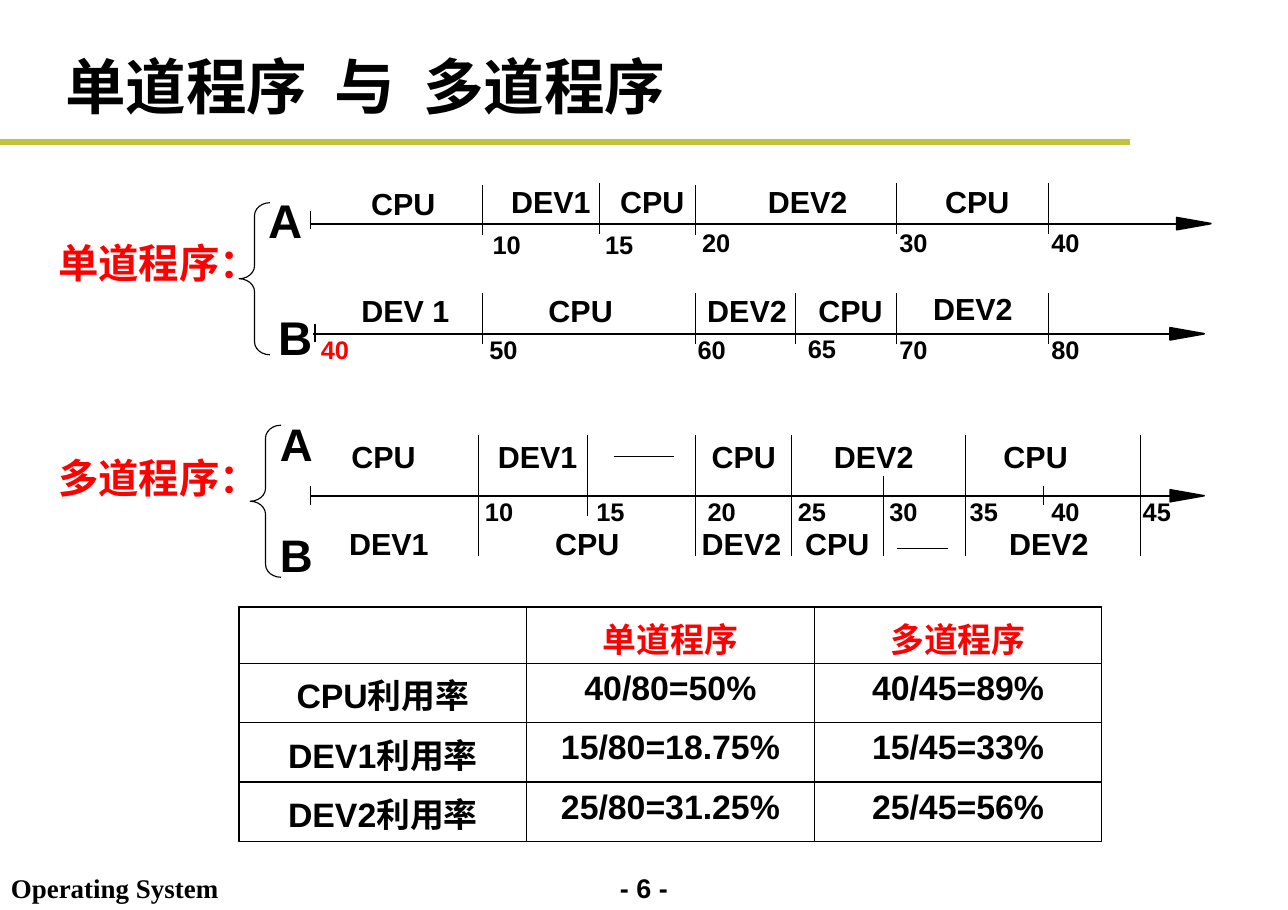
from dataclasses import dataclass

from lxml.etree import SubElement
from pptx import Presentation
from pptx.dml.color import RGBColor
from pptx.enum.shapes import MSO_CONNECTOR as CONN, MSO_SHAPE as SHAPE
from pptx.enum.text import MSO_ANCHOR as ANCHOR, MSO_AUTO_SIZE as AUTO, PP_ALIGN as ALIGN
from pptx.oxml.ns import qn
from pptx.util import Inches, Pt

COLORS = {"black": "000000", "red": "FF0000", "olive": "C1C43C"}
JOB, TIME, NAME = (19.9, 0.88, 0.33), (16.6, 0.3, 0.28), (30.9, 0.36, 0.52)  # size, width, height
SMALL_NAME = (29.8, 0.36, 0.5)


@dataclass
class Row:
    """Labels on one height, each with its centre."""
    top: float
    style: tuple[float, float, float]
    labels: list[tuple[str, float]]
    color: str = "black"


@dataclass
class Ticks:
    """Upright lines of one extent."""
    top: float
    bottom: float
    xs: list[float]
    weight: float = 0.75


@dataclass
class Timeline:
    start: float
    head: float  # left end of the arrowhead
    y: float
    weight: float
    ticks: list[Ticks]
    rows: list[Row]


@dataclass
class Group:
    heading: str
    heading_top: float
    brace_left: float
    brace_top: float


GROUPS = [Group("单道程序：", 2.11, 2.17, 1.84), Group("多道程序：", 4.06, 2.27, 3.86)]

TIMELINES = [
    Timeline(2.81, 10.68, 2.03, 1.13,
             [Ticks(1.92, 2.08, [2.82], 1), Ticks(1.68, 2.13, [4.38, 6.31]),
              Ticks(1.66, 2.12, [5.44, 8.14, 9.52])],
             [Row(1.74, NAME, [("A", 2.59)]),
              Row(1.68, JOB, [("CPU", 3.66)]),
              Row(1.66, JOB, [("DEV1", 5.0), ("CPU", 5.92), ("DEV2", 7.33), ("CPU", 8.87)]),
              Row(2.08, TIME, [("10", 4.6), ("15", 5.62)]),
              Row(2.06, TIME, [("20", 6.5), ("30", 8.29), ("40", 9.67)])]),
    Timeline(2.84, 10.62, 3.03, 1.13,
             [Ticks(2.94, 3.1, [2.86], 1),
              Ticks(2.66, 3.12, [4.38, 6.31, 7.22, 8.14, 9.52])],
             [Row(2.8, NAME, [("B", 2.68)]),
              Row(2.65, JOB, [("DEV 1", 3.68), ("CPU", 5.27), ("DEV2", 6.78), ("CPU", 7.72)]),
              Row(2.63, JOB, [("DEV2", 8.83)]),
              Row(3.03, TIME, [("40", 3.04)], "red"),
              Row(3.03, TIME, [("50", 4.57), ("60", 6.46), ("70", 8.29), ("80", 9.67)]),
              Row(3.02, TIME, [("65", 7.46)])]),
    Timeline(2.82, 10.62, 4.5, 1,
             [Ticks(4.41, 4.58, [2.82, 9.47, 10.35], 1),
              Ticks(3.95, 5.05, [4.34, 6.31, 7.18, 8.76, 10.35]),
              Ticks(3.95, 4.68, [5.33]), Ticks(4.32, 5.05, [8.02])],
             [Row(3.78, SMALL_NAME, [("A", 2.69)]), Row(4.78, SMALL_NAME, [("B", 2.69)]),
              Row(3.98, JOB, [("CPU", 3.48), ("DEV1", 4.88), ("CPU", 6.75),
                              ("DEV2", 7.93), ("CPU", 9.4)]),
              Row(4.5, TIME, [("10", 4.53), ("15", 5.54), ("20", 6.55), ("25", 7.37),
                              ("30", 8.2), ("35", 8.93), ("40", 9.67), ("45", 10.5)]),
              Row(4.77, JOB, [("DEV1", 3.53), ("CPU", 5.33), ("DEV2", 6.73),
                              ("CPU", 7.6), ("DEV2", 9.52)])]),
]

USAGE = [
    ["", "单道程序", "多道程序"],
    ["CPU利用率", "40/80=50%", "40/45=89%"],
    ["DEV1利用率", "15/80=18.75%", "15/45=33%"],
    ["DEV2利用率", "25/80=31.25%", "25/45=56%"],
]


def rgb(color: str) -> RGBColor:
    return RGBColor.from_string(COLORS[color])


def format_text(tf, size: float, color: str = "black", align=ALIGN.CENTER,
                font: str = "Arial") -> None:
    p = tf.paragraphs[0]
    p.alignment = align
    for r in p.runs:
        r.font.name, r.font.size, r.font.bold = font, Pt(size), True
        r.font.color.rgb = rgb(color)


def add_text(slide, text: str, left: float, top: float, width: float, height: float,
             size: float, color: str = "black", align=ALIGN.CENTER,
             font: str = "Arial", inset: bool = False) -> None:
    sp = slide.shapes.add_textbox(*map(Inches, (left, top, width, height)))
    tf = sp.text_frame
    tf.word_wrap = False
    if not inset:
        tf.margin_left = tf.margin_right = tf.margin_top = tf.margin_bottom = 0
    tf.text = text
    format_text(tf, size, color, align, font)


def add_line(slide, x1: float, y1: float, x2: float, y2: float,
             weight: float, color: str = "black") -> None:
    line = slide.shapes.add_connector(CONN.STRAIGHT, *map(Inches, (x1, y1, x2, y2)))
    line.line.color.rgb = rgb(color)
    line.line.width = Pt(weight)
    SubElement(line._element.spPr, qn("a:effectLst"))


def add_timeline(slide, t: Timeline) -> None:
    # Axis with its arrowhead
    add_line(slide, t.start, t.y, t.head + 0.2, t.y, t.weight)
    fb = slide.shapes.build_freeform(Inches(t.head), Inches(t.y - 0.055), 1.0)
    fb.add_line_segments([(Inches(t.head + 0.31), Inches(t.y)),
                          (Inches(t.head), Inches(t.y + 0.055))], close=True)
    sp = fb.convert_to_shape()
    sp.shadow.inherit = False
    sp.fill.solid()
    sp.fill.fore_color.rgb = rgb("black")
    sp.line.color.rgb = rgb("black")
    sp.line.width = Pt(t.weight)
    # Dividers and labels
    for ticks in t.ticks:
        for x in ticks.xs:
            add_line(slide, x, ticks.top, x, ticks.bottom, ticks.weight)
    for row in t.rows:
        size, width, height = row.style
        for text, center in row.labels:
            add_text(slide, text, center - width / 2, row.top, width, height, size, row.color)


def add_group(slide, g: Group) -> None:
    add_text(slide, g.heading, 0.43, g.heading_top, 2.05, 0.55, 26.4, "red", ALIGN.LEFT, inset=True)
    sp = slide.shapes.add_shape(SHAPE.LEFT_BRACE, *map(Inches, (g.brace_left, g.brace_top, 0.28, 1.38)))
    sp.shadow.inherit = False
    sp.adjustments[0] = 0.42
    sp.fill.background()
    sp.line.color.rgb = rgb("black")
    sp.line.width = Pt(0.75)


def add_usage_table(slide) -> None:
    table = slide.shapes.add_table(4, 3, *map(Inches, (2.17, 5.51, 7.83, 2.13))).table
    table.first_row = table.horz_banding = False
    for col in table.columns:
        col.width = Inches(2.61)
    for i, values in enumerate(USAGE):
        table.rows[i].height = Inches(0.54 if i else 0.51)
        for j, value in enumerate(values):
            cell = table.cell(i, j)
            cell.margin_left = cell.margin_right = Inches(0.11)
            cell.margin_top = cell.margin_bottom = Inches(0.06)
            cell.text_frame.text = value
            format_text(cell.text_frame, 22.1, "black" if i else "red")
            for side in ("lnL", "lnR", "lnT", "lnB"):
                ln = SubElement(cell._tc.get_or_add_tcPr(), qn(f"a:{side}"), w=str(Pt(1)))
                fill = SubElement(ln, qn("a:solidFill"))
                SubElement(fill, qn("a:srgbClr"), val=COLORS["black"])
            cell.fill.background()


def add_title(slide) -> None:
    sp = slide.shapes.title
    sp.left, sp.top, sp.width, sp.height = map(Inches, (0.49, 0.37, 10.04, 0.81))
    tf = sp.text_frame
    tf.auto_size, tf.vertical_anchor = AUTO.NONE, ANCHOR.MIDDLE
    for text in ("单道程序", " ", "与", " ", "多道程序"):
        r = tf.paragraphs[0].add_run()
        r.text = text
        if text == " ":  # widen the gap between the words
            r._r.get_or_add_rPr().set("spc", "900")
    format_text(tf, 39.6, align=ALIGN.LEFT)


def main() -> None:
    prs = Presentation()
    prs.slide_width, prs.slide_height = Inches(11.69), Inches(8.26)
    s = prs.slides.add_slide(prs.slide_layouts[5])

    # Title, rule and footer
    add_title(s)
    add_line(s, 0, 1.29, 10.26, 1.29, 4, "olive")
    add_text(s, "- 6 -", 5.26, 7.86, 1.17, 0.4, 17.6, inset=True)
    add_text(s, "Operating System", 0, 7.86, 2.09, 0.4, 17.6, align=ALIGN.LEFT,
             font="Times New Roman", inset=True)

    # Timelines
    for group in GROUPS:
        add_group(s, group)
    for timeline in TIMELINES:
        add_timeline(s, timeline)

    # Idle marks
    add_line(s, 5.57, 4.14, 6.12, 4.14, 0.75)
    add_line(s, 8.14, 4.98, 8.6, 4.98, 0.75)

    add_usage_table(s)
    prs.save("out.pptx")


if __name__ == "__main__":
    main()
